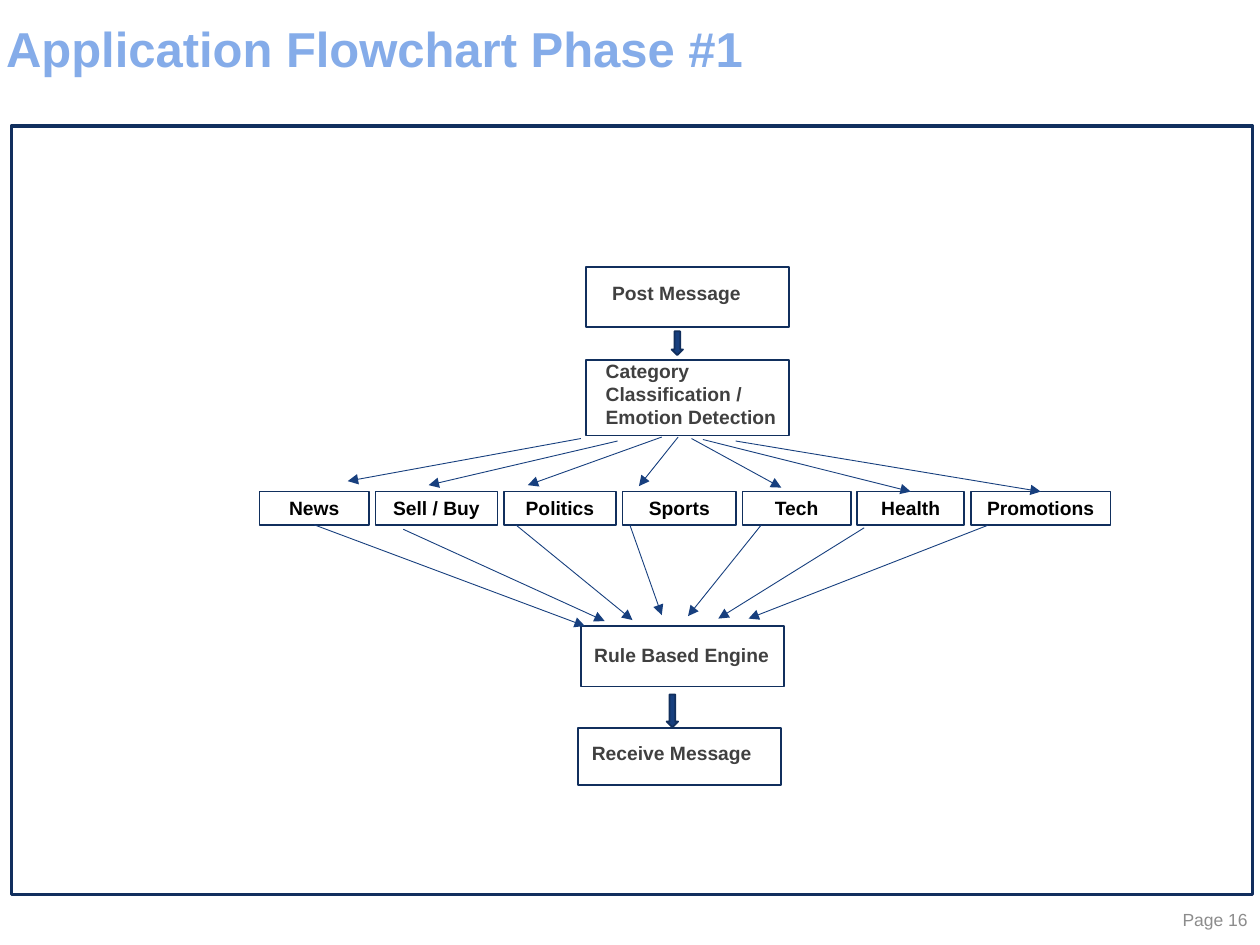
from lxml import etree
from pptx import Presentation
from pptx.dml.color import RGBColor
from pptx.enum import shapes, text
from pptx.oxml import ns
from pptx.util import Cm, Pt

THEME = {
    "font": "Arial",
    "title": "85ACE9", "page": "8C8C8C", "step": "404040", "category": "000000",
    "frame": "112F5E", "border": "112F5D", "arrow": "173F7E",
    "title_size": 28, "body_size": 11, "page_size": 10,
}

# All lengths are centimetres; boxes are (left, top, width, height).
TITLE = ("Application Flowchart Phase #1", (-0.13, 0.1, 18.34, 1.88))
PAGE = ("Page 16", (22.22, 18.03, 3.18, 1.02))
FRAME = (0.23, 2.54, 25.02, 18.03 - 2.54)

# Step text, box, label box, label wraps
STEPS = [
    ("Post Message", (11.81, 5.38, 4.09, 1.22), (12.09, 5.54, 3.12, 0.74), False),
    ("Category Classification / Emotion Detection",
     (11.81, 7.26, 4.09, 1.52), (11.96, 7.11, 4.22, 1.68), True),
    ("Rule Based Engine", (11.71, 12.62, 4.09, 1.22), (11.73, 12.85, 4.06, 0.74), False),
    ("Receive Message", (11.66, 14.68, 4.09, 1.14), (11.68, 14.81, 3.86, 0.74), False),
]
BLOCK_ARROWS = [(13.54, 6.68, 0.23, 0.48), (13.44, 14.0, 0.23, 0.66)]

ROW_LEFT, ROW_TOP, ROW_HEIGHT, ROW_GAP = 5.23, 9.91, 0.67, 0.13
# Name, width, arrow in (from, to), arrow out (from, to); None joins the category box
CATEGORIES = [
    ("News", 2.21, ((11.71, 8.84), (7.01, 9.7)), (None, (11.79, 12.62))),
    ("Sell / Buy", 2.46, ((12.45, 8.89), (8.64, 9.78)), ((8.13, 10.67), (12.19, 12.52))),
    ("Politics", 2.26, ((13.34, 8.81), (10.64, 9.78)), ((10.41, 10.59), (12.75, 12.5))),
    ("Sports", 2.29, ((13.67, 8.81), (12.88, 9.8)), ((12.7, 10.59), (13.34, 12.4))),
    ("Tech", 2.18, ((13.94, 8.84), (15.75, 9.83)), ((15.34, 10.59), (13.87, 12.42))),
    ("Health", 2.16, ((14.17, 8.86), None), ((17.42, 10.64), (14.48, 12.47))),
    ("Promotions", 2.82, ((14.83, 8.89), None), ((19.91, 10.59), (15.09, 12.47))),
]
TOP, BOTTOM = 0, 2


def color(name):
    return RGBColor.from_string(THEME[name])


def place(shape, box):
    shape.left, shape.top, shape.width, shape.height = map(Cm, box)


def write(shape, content, *, ink, size="body_size", bold=True, wrap=True, grow=False,
          align=text.PP_ALIGN.LEFT, anchor=text.MSO_ANCHOR.MIDDLE, spacing=None):
    frame = shape.text_frame
    frame.text = content
    frame.word_wrap = wrap
    frame.auto_size = (text.MSO_AUTO_SIZE.SHAPE_TO_FIT_TEXT if grow
                       else text.MSO_AUTO_SIZE.NONE)
    frame.vertical_anchor = anchor
    paragraph = frame.paragraphs[0]
    paragraph.alignment = align
    paragraph.line_spacing = spacing
    font = paragraph.runs[0].font
    font.name, font.size, font.bold = THEME["font"], Pt(THEME[size]), bold
    font.color.rgb = color(ink)


def add_box(slide, box, kind=shapes.MSO_SHAPE.RECTANGLE, fill=None, line="border", weight=1):
    shape = slide.shapes.add_shape(kind, *map(Cm, box))
    shape.shadow.inherit = False
    if fill:
        shape.fill.solid()
        shape.fill.fore_color.rgb = color(fill)
    else:
        shape.fill.background()
    shape.line.color.rgb = color(line)
    shape.line.width = Pt(weight)
    return shape


def add_label(slide, content, box, **style):
    write(slide.shapes.add_textbox(*map(Cm, box)), content, **style)


def add_arrow(slide, start, end, category):
    """Draw an arrow; a missing end is joined to the category box."""
    first, last = start or end, end or start
    connector = slide.shapes.add_connector(
        shapes.MSO_CONNECTOR.STRAIGHT, *map(Cm, first + last))
    if start is None:
        connector.begin_connect(category, BOTTOM)
    if end is None:
        connector.end_connect(category, TOP)
    connector.line.color.rgb = color("arrow")
    connector.line.width = Pt(0.5)
    etree.SubElement(connector.line._get_or_add_ln(), ns.qn("a:tailEnd"), type="triangle")
    etree.SubElement(connector._element.spPr, ns.qn("a:effectLst"))


def main():
    presentation = Presentation()
    presentation.slide_width, presentation.slide_height = Cm(25.4), Cm(19.05)
    slide = presentation.slides.add_slide(presentation.slide_layouts[5])

    title, title_box = TITLE
    place(slide.shapes.title, title_box)
    write(slide.shapes.title, title, ink="title", size="title_size", spacing=0.9)
    page, page_box = PAGE
    add_label(slide, page, page_box, ink="page", size="page_size", bold=False,
              align=text.PP_ALIGN.RIGHT)
    add_box(slide, FRAME, line="frame", weight=2)

    for content, box, label_box, wrap in STEPS:
        add_box(slide, box)
        add_label(slide, content, label_box, ink="step", wrap=wrap, grow=True,
                  anchor=text.MSO_ANCHOR.TOP)
    for box in BLOCK_ARROWS:
        add_box(slide, box, kind=shapes.MSO_SHAPE.DOWN_ARROW, fill="arrow")

    left = ROW_LEFT
    for name, width, arrow_in, arrow_out in CATEGORIES:
        category = add_box(slide, (left, ROW_TOP, width, ROW_HEIGHT))
        write(category, name, ink="category", align=text.PP_ALIGN.CENTER)
        for start, end in (arrow_in, arrow_out):
            add_arrow(slide, start, end, category)
        left += width + ROW_GAP

    presentation.save("out.pptx")


if __name__ == "__main__":
    main()
